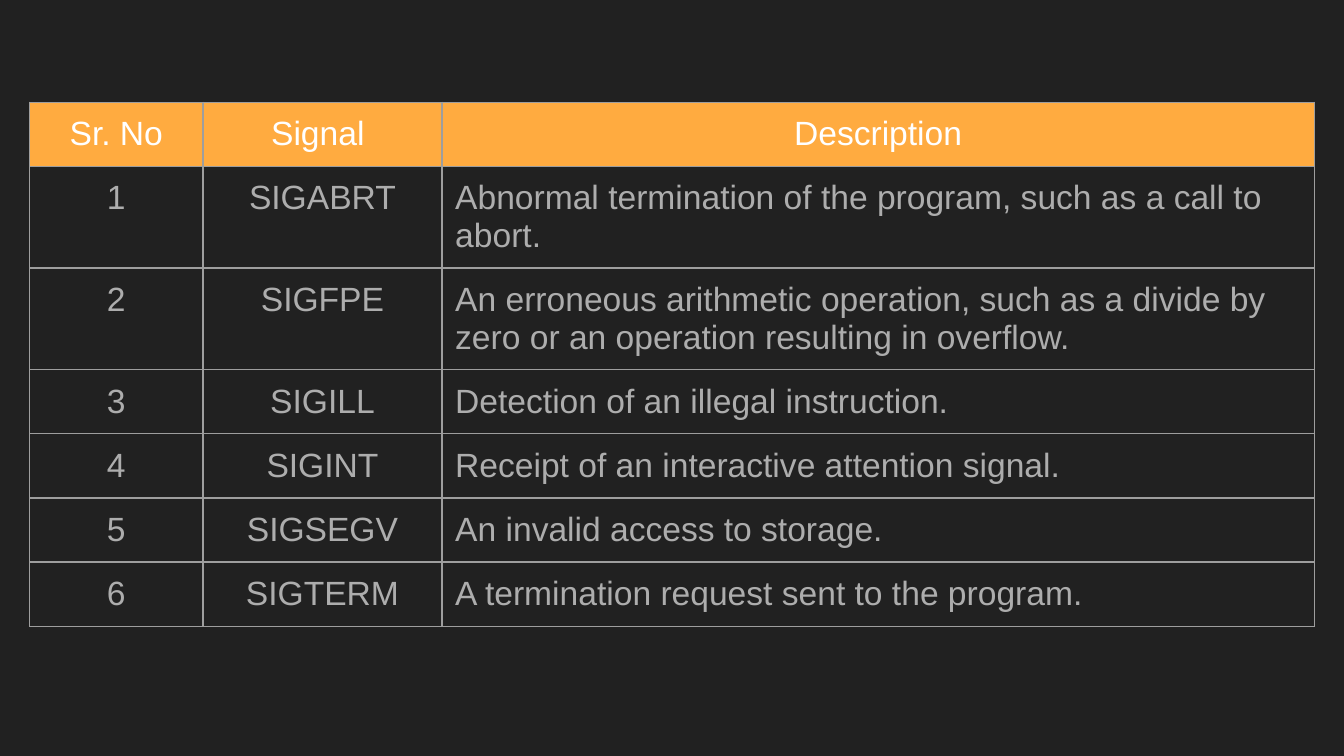
from pptx import Presentation
from pptx.dml.color import RGBColor
from pptx.enum.text import PP_ALIGN
from pptx.oxml.ns import qn
from pptx.util import Cm, Pt
from lxml.etree import SubElement

COLORS = {
    "background": "212121",
    "header": "FFAB40",
    "header_text": "FFFFFF",
    "body_text": "ADADAD",
    "border": "9E9E9E",
}
HEADINGS = ("Sr. No", "Signal ", "Description")
SIGNALS = (
    ("SIGABRT", "Abnormal termination of the program, such as a call to abort."),
    ("SIGFPE", "An erroneous arithmetic operation, such as a divide by zero "
               "or an operation resulting in overflow."),
    ("SIGILL", "Detection of an illegal instruction."),
    ("SIGINT", "Receipt of an interactive attention signal."),
    ("SIGSEGV", "An invalid access to storage."),
    ("SIGTERM", "A termination request sent to the program."),
)
COLUMN_SHARES = (0.135, 0.186, 0.679)


def rgb(name):
    """Return the named colour."""
    return RGBColor.from_string(COLORS[name])


def add_borders(cell):
    """Draw a thin line on all four sides of a cell."""
    properties = cell._tc.get_or_add_tcPr()
    for side in ("a:lnL", "a:lnR", "a:lnT", "a:lnB"):
        border = SubElement(properties, qn(side), w=str(Pt(0.75)))
        fill = SubElement(border, qn("a:solidFill"))
        SubElement(fill, qn("a:srgbClr"), val=COLORS["border"])


def format_cell(cell, wording, is_header, centred):
    """Fill a cell with its wording, borders and colours."""
    cell.margin_left = cell.margin_right = Cm(0.25)
    cell.margin_top = cell.margin_bottom = Cm(0.25)
    add_borders(cell)
    if is_header:
        cell.fill.solid()
        cell.fill.fore_color.rgb = rgb("header")
    else:
        cell.fill.background()
    paragraph = cell.text_frame.paragraphs[0]
    paragraph.alignment = PP_ALIGN.CENTER if centred else PP_ALIGN.LEFT
    run = paragraph.add_run()
    run.text = wording
    run.font.name = "Arial"
    run.font.size = Pt(18)
    run.font.bold = False
    run.font.color.rgb = rgb("header_text" if is_header else "body_text")


def add_signal_table(slide, left, top, width, height):
    """Place the table of signals in the given box."""
    rows = [HEADINGS]
    rows += [(str(number), *signal) for number, signal in enumerate(SIGNALS, 1)]
    table = slide.shapes.add_table(
        len(rows), len(HEADINGS), left, top, width, height).table
    table.first_row = table.horz_banding = False
    for column, share in zip(table.columns, COLUMN_SHARES):
        column.width = int(width * share)
    for row_index, row in enumerate(rows):
        for column_index, wording in enumerate(row):
            is_header = row_index == 0
            format_cell(table.cell(row_index, column_index), wording,
                        is_header, is_header or column_index < 2)


def main():
    """Build the slide and save it."""
    presentation = Presentation()
    presentation.slide_width = Cm(25.4)
    presentation.slide_height = Cm(14.29)
    slide = presentation.slides.add_slide(presentation.slide_layouts[6])
    slide.background.fill.solid()
    slide.background.fill.fore_color.rgb = rgb("background")
    add_signal_table(slide, Cm(0.56), Cm(1.93), Cm(24.28), Cm(7.47))
    presentation.save("out.pptx")


if __name__ == "__main__":
    main()
